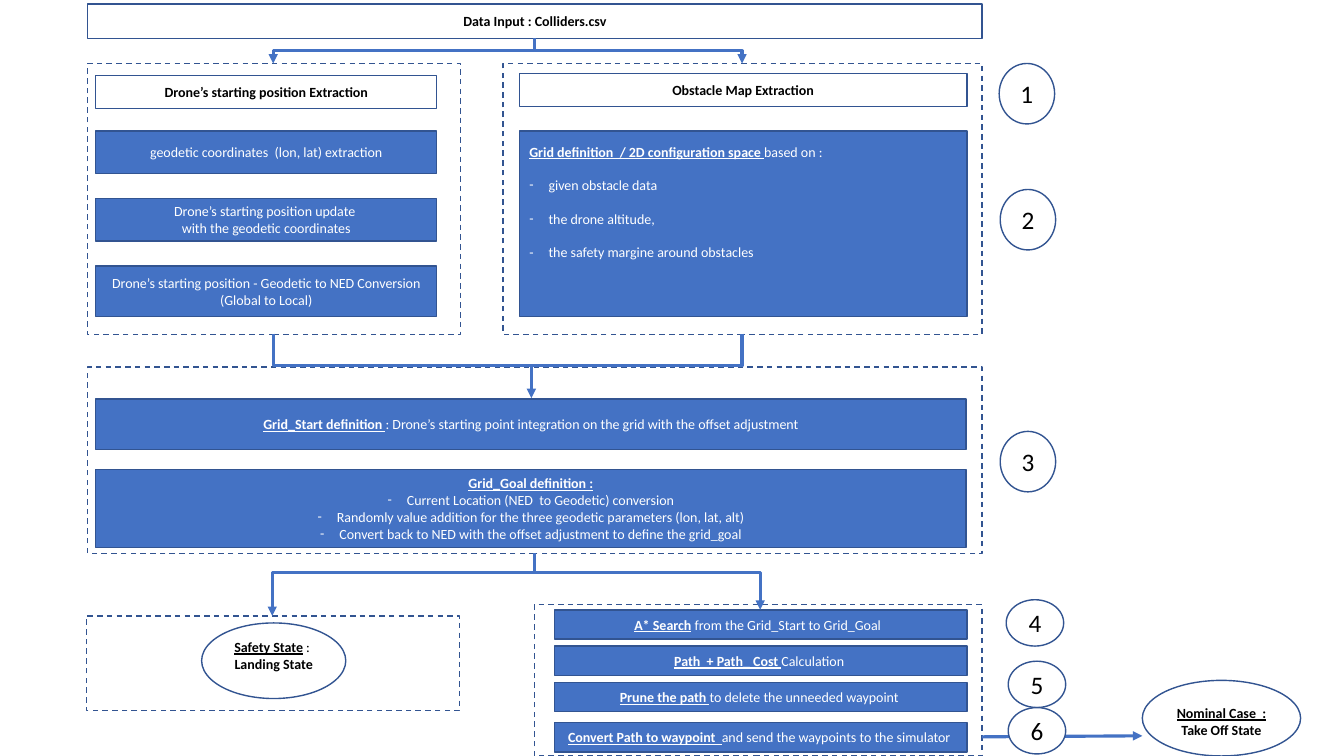
"""Build the flow chart slide of a drone motion planner."""
from dataclasses import dataclass
from typing import NamedTuple, Optional

from lxml import etree
from pptx import Presentation, util as u
from pptx.dml import color
from pptx.enum import dml, shapes, text
from pptx.oxml import ns

COLORS = {"blue": "4472C4", "edge": "325491", "white": "FFFFFF", "black": "000000"}
FONT = "Calibri"
COLUMNS, ROWS = 133.3, 75
RECT, OVAL = shapes.MSO_SHAPE.RECTANGLE, shapes.MSO_SHAPE.OVAL

presentation = Presentation()
presentation.slide_width, presentation.slide_height = u.Inches(13.33), u.Inches(7.5)
slide = presentation.slides.add_slide(presentation.slide_layouts[1])


class Run(NamedTuple):
    """A stretch of text with one format."""
    words: str
    bold: bool = False
    underline: bool = False


class Line(NamedTuple):
    """A paragraph, as runs and an optional dash bullet."""
    runs: list[Run]
    bullet: bool = False


class Area(NamedTuple):
    """A rectangle in grid columns and rows."""
    left: float
    top: float
    width: float
    height: float


@dataclass
class Box:
    """A filled, outlined shape with its text."""
    area: Area
    lines: list[Line]
    fill: str = "blue"
    ink: str = "white"
    kind: shapes.MSO_SHAPE = RECT
    size: int = 10
    margins: tuple[float, float, float, float] = (1, 0.5, 1, 0.5)
    align: text.PP_ALIGN = text.PP_ALIGN.CENTER
    anchor: text.MSO_ANCHOR = text.MSO_ANCHOR.MIDDLE
    gap: int = 0
    dashed: bool = False


@dataclass
class Arrow:
    """A connector between two grid points, bent at a share of its height."""
    start: tuple[float, float]
    end: tuple[float, float]
    bend: Optional[float] = 0.5
    head: bool = True


def x(columns: float) -> int:
    """Return the length of grid columns."""
    return round(presentation.slide_width * columns / COLUMNS)


def y(rows: float) -> int:
    """Return the length of grid rows."""
    return round(presentation.slide_height * rows / ROWS)


def rgb(name: str) -> color.RGBColor:
    """Return a named colour."""
    return color.RGBColor.from_string(COLORS[name])


def set_bullet(paragraph, bullet: bool) -> None:
    """Give a paragraph a dash with a hanging indent, or no bullet."""
    properties = paragraph._p.get_or_add_pPr()
    indent = x(1.9) if bullet else 0
    properties.set("marL", str(indent))
    properties.set("indent", str(-indent))
    if bullet:
        etree.SubElement(properties, ns.qn("a:buFont")).set("typeface", FONT)
        etree.SubElement(properties, ns.qn("a:buChar")).set("char", "-")
    else:
        etree.SubElement(properties, ns.qn("a:buNone"))


def write(frame, box: Box) -> None:
    """Write the lines of a box into its text frame."""
    frame.word_wrap = True
    frame.auto_size = text.MSO_AUTO_SIZE.NONE
    frame.vertical_anchor = box.anchor
    left, top, right, bottom = box.margins
    frame.margin_left, frame.margin_right = x(left), x(right)
    frame.margin_top, frame.margin_bottom = y(top), y(bottom)
    for index, line in enumerate(box.lines):
        paragraph = frame.add_paragraph() if index else frame.paragraphs[0]
        paragraph.alignment = box.align
        paragraph.space_before = u.Pt(box.gap if index else 0)
        set_bullet(paragraph, line.bullet)
        for part in line.runs:
            run = paragraph.add_run()
            run.text = part.words
            run.font.name, run.font.size = FONT, u.Pt(box.size)
            run.font.bold, run.font.underline = part.bold, part.underline
            run.font.color.rgb = rgb(box.ink)


def draw_box(box: Box, placeholder=None) -> None:
    """Draw a box as a new shape, or with a placeholder brought to the front."""
    left, top, width, height = box.area
    place = x(left), y(top), x(width), y(height)
    if placeholder is None:
        shape = slide.shapes.add_shape(box.kind, *place)
        shape.shadow.inherit = False
    else:
        shape = placeholder
        shape.left, shape.top, shape.width, shape.height = place
        shape.element.getparent().append(shape.element)
    shape.fill.solid()
    shape.fill.fore_color.rgb = rgb(box.fill)
    shape.line.color.rgb = rgb("edge")
    shape.line.width = u.Pt(1)
    if box.dashed:
        shape.line.dash_style = dml.MSO_LINE.DASH
    if box.lines:
        write(shape.text_frame, box)


def draw_arrow(arrow: Arrow) -> None:
    """Draw a straight connector, or an elbow that leaves downwards."""
    (x1, y1), (x2, y2) = arrow.start, arrow.end
    kind = shapes.MSO_CONNECTOR.STRAIGHT
    if arrow.bend is not None:
        kind = shapes.MSO_CONNECTOR.ELBOW
        rightwards = x2 > x1
        middle_x, middle_y = (x1 + x2) / 2, (y1 + y2) / 2
        half_width, half_height = (y2 - y1) / 2, abs(x2 - x1) / 2
        side = -1 if rightwards else 1
        x1, x2 = middle_x - side * half_width, middle_x + side * half_width
        y1, y2 = middle_y - half_height, middle_y + half_height
    connector = slide.shapes.add_connector(kind, x(x1), y(y1), x(x2), y(y2))
    connector.line.color.rgb = rgb("blue")
    connector.line.width = u.Pt(2.25)
    properties = connector.element.spPr
    if arrow.bend is not None:
        turn = 270 if rightwards else 90
        properties.find(ns.qn("a:xfrm")).set("rot", str(turn * 60000))
        geometry = properties.find(ns.qn("a:prstGeom"))
        guide = etree.SubElement(geometry.find(ns.qn("a:avLst")), ns.qn("a:gd"))
        guide.set("name", "adj1")
        guide.set("fmla", f"val {round(arrow.bend * 100000)}")
    if arrow.head:
        outline = properties.find(ns.qn("a:ln"))
        etree.SubElement(outline, ns.qn("a:tailEnd")).set("type", "triangle")
    etree.SubElement(properties, ns.qn("a:effectLst"))


def plain(words: str) -> Line:
    """Return a line in regular type."""
    return Line([Run(words)])


def heading(words: str) -> list[Line]:
    """Return one bold line."""
    return [Line([Run(words, True)])]


def term(name: str, rest: str = "") -> Line:
    """Return a line that opens with an underlined term."""
    return Line([Run(name, True, True)] + ([Run(rest)] if rest else []))


def bullets(*items: str) -> list[Line]:
    """Return dashed lines."""
    return [Line([Run(item)], True) for item in items]


PANELS = [Area(53, 60, 44.4, 15), Area(8.6, 61.1, 37, 9.4), Area(8.7, 36.4, 88.7, 18.5),
          Area(49.9, 6.3, 47.5, 26.9), Area(8.7, 6.3, 37, 26.9)]
TITLE = Box(Area(8.7, 0.4, 88.7, 3.4), heading("Data Input : Colliders.csv"), "white", "black")
GRID = Box(Area(51.5, 13, 44.4, 18.4),
           [term("Grid definition  / 2D configuration space ", "based on :")]
           + bullets("given obstacle data", "the drone altitude,",
                     "the safety margine around obstacles"),
           margins=(1, 1.2, 1, 0.5), align=text.PP_ALIGN.LEFT,
           anchor=text.MSO_ANCHOR.TOP, gap=12)
BOXES = [
    Box(Area(9.5, 7.5, 33.8, 3.3), heading("Drone’s starting position Extraction"), "white", "black"),
    Box(Area(51.5, 7.3, 44.4, 3.3), heading("Obstacle Map Extraction"), "white", "black"),
    Box(Area(9.5, 13, 33.8, 4.2), [plain("geodetic coordinates  (lon, lat) extraction")]),
    Box(Area(9.5, 19.7, 33.8, 4.2), [plain("Drone’s starting position update "),
                                     plain("with the geodetic coordinates")]),
    Box(Area(9.5, 26.4, 33.8, 5), [plain("Drone’s starting position - Geodetic to NED Conversion"),
                                   plain("(Global to Local)")]),
    Box(Area(9.5, 39.6, 86.3, 5), [term("Grid_Start definition ", ": Drone’s starting point "
                                        "integration on the grid with the offset adjustment")]),
    Box(Area(9.5, 46.6, 86.3, 7.7), [term("Grid_Goal definition :")] + bullets(
        "Current Location (NED  to Geodetic) conversion",
        "Randomly value addition for the three geodetic parameters (lon, lat, alt)",
        "Convert back to NED with the offset adjustment to define the grid_goal")),
]
STEPS = [(60.5, "A* Search", " from the Grid_Start to Grid_Goal  "),
         (64.1, "Path  + Path_ Cost ", "Calculation "),
         (67.7, "Prune the path ", "to delete the unneeded waypoint "),
         (71.7, "Convert Path to waypoint  ", "and send the waypoints to the simulator ")]
STATES = [
    Box(Area(20, 61.8, 14.3, 7.5), [Line([Run("Safety State", True, True), Run(" ", True),
                                          Run(":  "), Run("Landing State", True)])],
        "white", "black", OVAL, margins=(1, 0, 1, 1.1)),
    Box(Area(113.3, 67.5, 15.7, 7.5), [Line([Run("Nominal Case  : ", True, True),
                                             Run("Take Off State", True)])],
        "white", "black", OVAL, margins=(1, 0.6, 1, 0)),
]
NUMBERS = [Area(99.1, 6.3, 5.5, 6), Area(99.2, 18.8, 5.5, 6), Area(99.2, 42.8, 5.5, 6),
           Area(99.8, 59.5, 5.7, 4.6), Area(100, 65.6, 5.7, 4.6), Area(100, 70.2, 5.7, 4.6)]
ARROWS = [Arrow((53, 3.8), (73.6, 6.3)), Arrow((53, 3.8), (27.1, 6.3)),
          Arrow((73.6, 33.1), (52.7, 39.5)), Arrow((27.1, 33.1), (53, 36.3), 1, False),
          Arrow((53, 54.9), (27, 61.1), 0.31), Arrow((53, 54.9), (75.4, 60.5), 0.34),
          Arrow((97.4, 73.1), (113.3, 73), None)]

title, body = slide.placeholders
for panel in PANELS:
    draw_box(Box(panel, [], "white", dashed=True))
draw_box(TITLE, title)
draw_box(GRID, body)
for box in BOXES:
    draw_box(box)
for step_top, name, rest in STEPS:
    draw_box(Box(Area(55, step_top, 40.9, 2.9), [term(name, rest)]))
for arrow in ARROWS:
    draw_arrow(arrow)
for state in STATES:
    draw_box(state)
for number, area in enumerate(NUMBERS, 1):
    draw_box(Box(area, [plain(str(number))], "white", "black", OVAL, 18, (0, 0, 0, 0)))

presentation.save("out.pptx")
